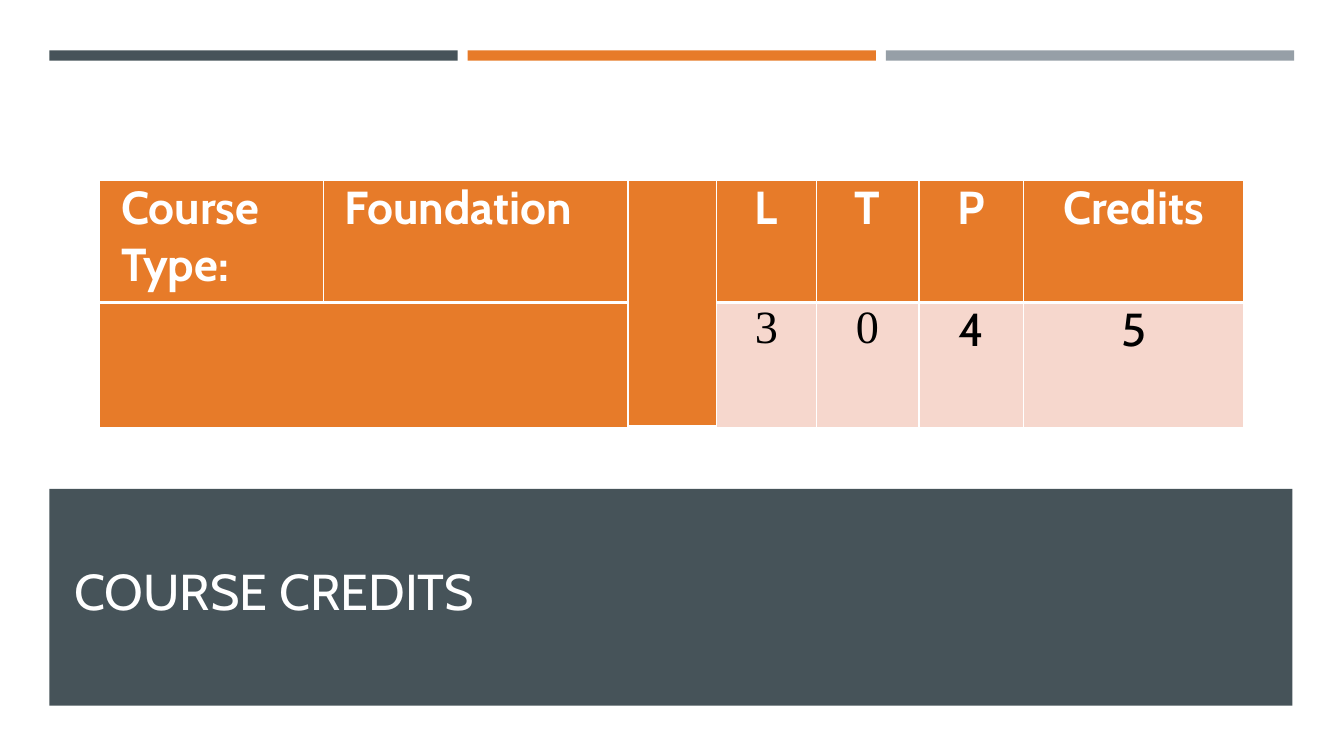
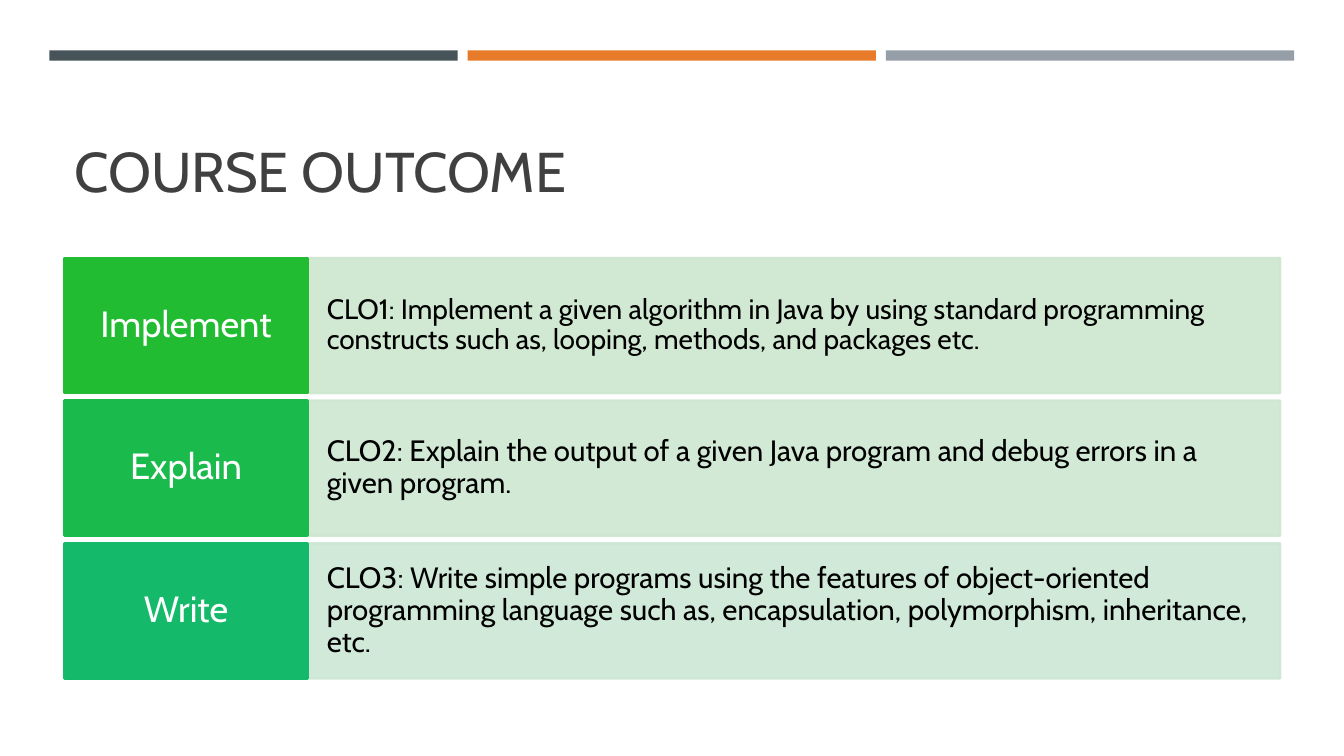
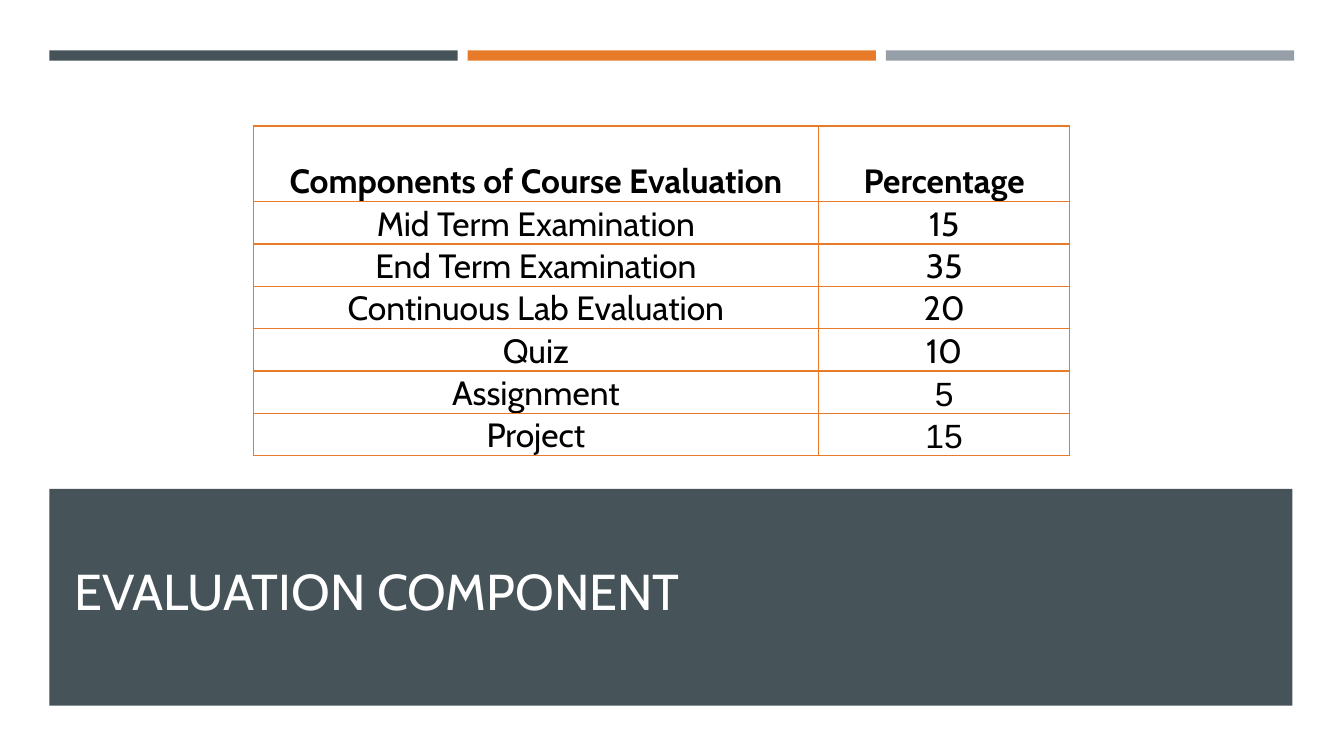
from dataclasses import dataclass

from lxml import etree
from pptx import Presentation
from pptx.dml.color import RGBColor
from pptx.enum.shapes import MSO_SHAPE
from pptx.enum.text import MSO_ANCHOR, PP_ALIGN
from pptx.oxml.ns import qn
from pptx.util import Inches, Pt

RECT = MSO_SHAPE.RECTANGLE
LEFT, CENTER = PP_ALIGN.LEFT, PP_ALIGN.CENTER
TOP, MIDDLE, BOTTOM = MSO_ANCHOR.TOP, MSO_ANCHOR.MIDDLE, MSO_ANCHOR.BOTTOM


@dataclass(frozen=True)
class Theme:
    slate: str = "465359"
    orange: str = "E77B29"
    grey: str = "969FA7"
    peach: str = "F6D7CD"
    white: str = "FFFFFF"
    black: str = "000000"
    heading: str = "404040"
    font: str = "Cabin"
    serif: str = "Times New Roman"
    sans: str = "Arial"
    title: int = 40
    band_title: int = 36
    credit: int = 33
    verb: int = 26
    evaluation: int = 24


theme = Theme()
deck = Presentation()
deck.slide_width, deck.slide_height = Inches(13.33), Inches(7.5)


def place(left, top, width, height):
    """Turn percentages of the slide's size into lengths."""
    across, down = deck.slide_width / 100, deck.slide_height / 100
    return [round(share * unit) for share, unit in
            zip((left, top, width, height), (across, down, across, down))]


def write(box, text, size, color, font=theme.font, bold=False, align=LEFT,
          anchor=TOP, insets=(0.1, 0.05, 0.1, 0.05), spacing=1.0):
    """Write one paragraph into a text frame or a table cell."""
    box.vertical_anchor = anchor
    (box.margin_left, box.margin_top,
     box.margin_right, box.margin_bottom) = map(Inches, insets)
    frame = getattr(box, "text_frame", box)
    frame.word_wrap = True
    paragraph = frame.paragraphs[0]
    paragraph.alignment = align
    paragraph.line_spacing = spacing
    run = paragraph.add_run()
    run.text = text
    run.font.name, run.font.size, run.font.bold = font, Pt(size), bold
    run.font.color.rgb = RGBColor.from_string(color)


# Shared frame: three bars on top, the title, and a band on two slides
slides = []
for title, has_band in (("COURSE CREDITS", True),
                        ("COURSE OUTCOME", False),
                        ("EVALUATION COMPONENT", True)):
    slide = deck.slides.add_slide(deck.slide_layouts[6])
    slides.append(slide)
    blocks = [(place(3.68 + 31.12 * i, 6.67, 30.38, 1.36), color)
              for i, color in enumerate((theme.slate, theme.orange, theme.grey))]
    if has_band:
        blocks.append((place(3.68, 64.67, 92.48, 28.67), theme.slate))
        title_area = place(4.8, 67.2, 90.15, 15.6)
        size, color = theme.band_title, theme.white
    else:
        title_area = place(4.8, 10.27, 90.45, 17.33)
        size, color = theme.title, theme.heading
    for area, fill in blocks:
        block = slide.shapes.add_shape(RECT, *area)
        block.shadow.inherit = False
        block.fill.solid()
        block.fill.fore_color.rgb = RGBColor.from_string(fill)
        block.line.fill.background()
    heading = slide.shapes.add_textbox(*title_area)
    write(heading.text_frame, title, size, color, anchor=BOTTOM)

credits_slide, outcome_slide, evaluation_slide = slides

# Course outcomes: verb on a fifth of the width, statement on the rest
outcomes = (
    ("Implement", "21BC31", "CDE7CE", 20,
     "CLO1: Implement a given algorithm in Java by using standard programming "
     "constructs such as, looping, methods, and packages etc."),
    ("Explain", "1ABB4C", "CDE7D1", 21,
     "CLO2: Explain the output of a given Java program and debug errors in a "
     "given program."),
    ("Write", "14BA6A", "CCE7D4", 21,
     "CLO3: Write simple programs using the features of object-oriented "
     "programming language such as, encapsulation, polymorphism, inheritance, etc."),
)
for i, (verb, strong, pale, statement_size, statement) in enumerate(outcomes):
    top = 34.13 + 18.87 * i
    for text, left, width, fill, opacity, style in (
            (statement, 22.89, 72.36, pale, 90,
             dict(size=statement_size, color=theme.black,
                  insets=(0.19, 0.05, 0.19, 0.05))),
            (verb, 4.8, 18.09, strong, 100,
             dict(size=theme.verb, color=theme.white, align=CENTER,
                  insets=(0.13, 0.13, 0.13, 0.13)))):
        panel = outcome_slide.shapes.add_shape(RECT, *place(left, top, width, 17.87))
        panel.shadow.inherit = False
        panel.fill.solid()
        panel.fill.fore_color.rgb = RGBColor.from_string(fill)
        panel.line.color.rgb = RGBColor.from_string(fill)
        panel.line.width = Pt(1.75)
        if opacity < 100:
            for tint in panel._element.spPr.iter(qn("a:srgbClr")):
                etree.SubElement(tint, qn("a:alpha"), val=str(opacity * 1000))
        write(panel.text_frame, text, anchor=MIDDLE, spacing=0.9, **style)

# Both tables: position, column and row shares, text, border colour
credit_rows = (("Course Type:", "Foundation", "", "L", "T", "P", "Credits"),
               ("", "", "", "3", "0", "4", "5"))
evaluation_rows = (("Components of Course Evaluation", "Percentage"),
                   ("Mid Term Examination", "15"),
                   ("End Term Examination", "35"),
                   ("Continuous Lab Evaluation", "20"),
                   ("Quiz", "10"),
                   ("Assignment", "5"),
                   ("Project", "15"))
tables = []
for slide, left, top, columns, heights, rows, border in (
        (credits_slide, 7.43, 23.87, (16.65, 22.65, 6.6, 7.4, 7.65, 7.8, 16.35),
         (16.13, 16.53), credit_rows, theme.white),
        (evaluation_slide, 18.83, 16.67, (42.08, 18.68),
         (10,) + (5.6,) * 6, evaluation_rows, theme.orange)):
    area = place(left, top, sum(columns), sum(heights))
    table = slide.shapes.add_table(len(rows), len(columns), *area).table
    table.first_row = table.horz_banding = False
    for column, share in zip(table.columns, columns):
        column.width = place(0, 0, share, 0)[2]
    for row, share in zip(table.rows, heights):
        row.height = place(0, 0, 0, share)[3]
    tables.append((table, rows, border))

credit_table, evaluation_table = tables[0][0], tables[1][0]
credit_table.cell(0, 2).merge(credit_table.cell(1, 2))
credit_table.cell(1, 0).merge(credit_table.cell(1, 1))

# Credits: white on orange, with the values on peach
for r, row in enumerate(credit_rows):
    for c, text in enumerate(row):
        cell = credit_table.cell(r, c)
        is_value = r == 1 and c > 2
        cell.fill.solid()
        cell.fill.fore_color.rgb = RGBColor.from_string(
            theme.peach if is_value else theme.orange)
        if text:
            write(cell, text, theme.credit,
                  theme.black if is_value else theme.white,
                  font=theme.serif if text in ("3", "0") else theme.font,
                  bold=not is_value, align=CENTER if c > 2 else LEFT,
                  insets=(0.21, 0, 0.21, 0))

# Evaluation: black on white, the last two percentages in the plain font
for r, row in enumerate(evaluation_rows):
    for c, text in enumerate(row):
        cell = evaluation_table.cell(r, c)
        cell.fill.background()
        write(cell, text, theme.evaluation, theme.black,
              font=theme.sans if c == 1 and r > 4 else theme.font,
              bold=r == 0, align=CENTER, anchor=BOTTOM,
              insets=(0.02, 0.02, 0.02, 0))

# Cell borders, with a heavy rule under the credits header
for table, rows, border in tables:
    for r, row in enumerate(rows):
        for c in range(len(row)):
            cell = table.cell(r, c)
            if cell.is_spanned:
                continue
            heavy_edge = ("lnB", "lnT")[r] if table is credit_table else None
            properties = cell._tc.get_or_add_tcPr()
            for i, edge in enumerate(("lnL", "lnR", "lnT", "lnB")):
                width = Pt(3 if edge == heavy_edge else 1)
                rule = etree.Element(qn("a:" + edge), w=str(width))
                fill = etree.SubElement(rule, qn("a:solidFill"))
                etree.SubElement(fill, qn("a:srgbClr"), val=border)
                properties.insert(i, rule)

deck.save("out.pptx")
